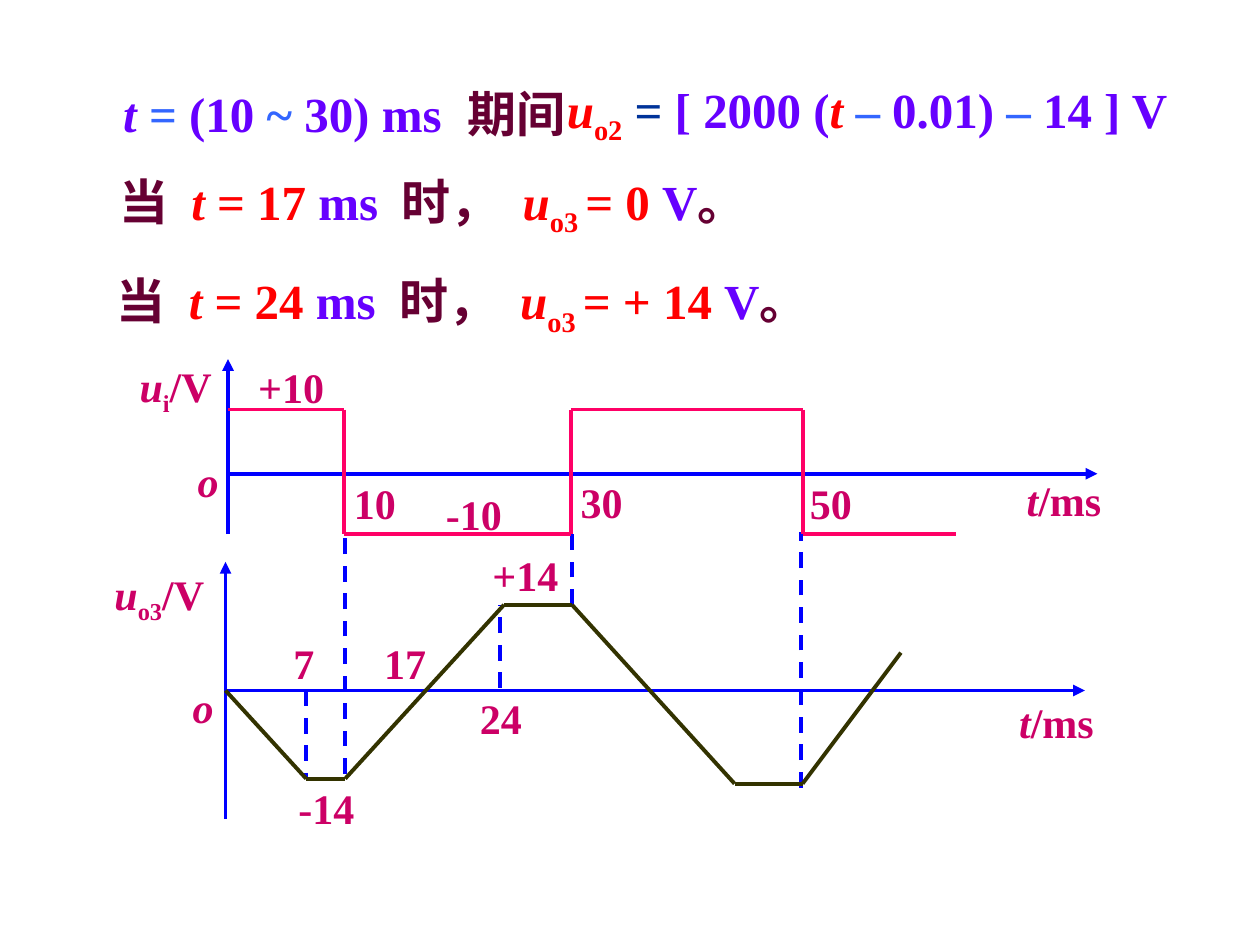
from itertools import pairwise

from lxml.etree import SubElement
from pptx import Presentation
from pptx.dml.color import RGBColor as RGB
from pptx.enum.dml import MSO_LINE as DASH
from pptx.enum.shapes import MSO_CONNECTOR as CONN
from pptx.enum.text import MSO_AUTO_SIZE as AUTO
from pptx.oxml.ns import qn
from pptx.util import Inches, Pt

COLORS = {
    "axis": "0000FF", "input": "FF0066", "output": "333300", "label": "CC0066",
    "red": "FF0000", "violet": "6600FF", "blue": "3366FF", "navy": "003399",
    "plum": "660033",
}


class Board:
    """Draws lines and formatted text on one slide."""

    font = "Times New Roman"
    width = Pt(2.25)

    def __init__(self, slide):
        self.s = slide

    def line(self, start, end, color, dashed=False, arrow=False):
        points = [Inches(v) for v in (*start, *end)]
        c = self.s.shapes.add_connector(CONN.STRAIGHT, *points)
        c.line.color.rgb = RGB.from_string(COLORS[color])
        c.line.width = self.width
        if dashed:
            c.line.dash_style = DASH.DASH
        if arrow:
            SubElement(c.get_or_add_ln(), qn("a:tailEnd"), type="triangle")
        SubElement(c._element.spPr, qn("a:effectLst"))

    def wave(self, points, color):
        for start, end in pairwise(points):
            self.line(start, end, color)

    def text(self, left, top, width, height, runs, size, wrap=True, tabs=()):
        box = (Inches(v) for v in (left, top, width, height))
        tf = self.s.shapes.add_textbox(*box).text_frame
        tf.word_wrap = wrap
        tf.auto_size = AUTO.SHAPE_TO_FIT_TEXT
        p = tf.paragraphs[0]
        if tabs:
            stops = SubElement(p._p.get_or_add_pPr(), qn("a:tabLst"))
            for pos in tabs:
                SubElement(stops, qn("a:tab"), pos=str(Inches(pos)), algn="l")
        for words, color, style in runs:
            r = p.add_run()
            r.text = words
            r.font.name = self.font
            r.font.size = Pt(size)
            r.font.bold = True
            r.font.italic = style == "italic"
            r.font.color.rgb = RGB.from_string(COLORS[color])
            if style == "sub":
                r._r.get_or_add_rPr().set("baseline", "-25000")

    def formula(self, left, top, width, height, runs, tabs=()):
        self.text(left, top, width, height, runs, 28, tabs=tabs)

    def label(self, left, top, width, *parts, height=0.5):
        runs = [(words, "label", style) for words, style in parts]
        self.text(left, top, width, height, runs, 24, wrap=False)


def condition(time, value):
    return [
        ("当\t", "plum", ""), ("t ", "red", "italic"), (f"= {time} ", "red", ""),
        ("ms\t", "violet", ""), ("时，\t", "plum", ""), ("u", "red", "italic"),
        ("o3 ", "red", "sub"), (f"= {value} ", "red", ""), ("V", "violet", ""),
        ("。", "plum", ""),
    ]


def main():
    prs = Presentation()
    prs.slide_width, prs.slide_height = Inches(10), Inches(7.5)
    board = Board(prs.slides.add_slide(prs.slide_layouts[6]))

    board.formula(0.88, 0.61, 4.37, 0.57, [
        ("t ", "violet", "italic"), ("=", "blue", ""), (" (10 ", "violet", ""),
        ("~ ", "blue", ""), ("30) ms\t", "violet", ""), ("期间", "plum", ""),
    ], tabs=[2.73])
    board.formula(4.4, 0.58, 5.98, 0.63, [
        ("u", "red", "italic"), ("o2", "red", "sub"), (" =", "navy", ""),
        (" [ 2000 (", "violet", ""), ("t ", "red", "italic"), ("– ", "blue", ""),
        ("0.01) ", "violet", ""), ("– ", "blue", ""), ("14 ] V", "violet", ""),
    ])
    stops = [0.57, 2.24, 3.2]
    board.formula(0.85, 1.31, 6.06, 0.63, condition(17, "0"), stops)
    board.formula(0.83, 2.1, 6.52, 0.63, condition(24, "+ 14"), stops)

    for start, end in [
        ((1.79, 5.48), (8.61, 5.48)), ((1.79, 6.5), (1.79, 4.46)),
        ((1.81, 3.76), (8.71, 3.76)), ((1.81, 4.24), (1.81, 2.85)),
    ]:
        board.line(start, end, "axis", arrow=True)

    for x, y1, y2 in [
        (4.54, 4.8, 4.17), (2.43, 5.48, 6.18), (3.97, 5.46, 4.8),
        (2.74, 6.14, 4.25), (6.36, 6.25, 4.22),
    ]:
        board.line((x, y1), (x, y2), "axis", dashed=True)

    high, low = 3.25, 4.24
    board.wave([
        (1.81, high), (2.73, high), (2.73, low), (4.53, low),
        (4.53, high), (6.37, high), (6.37, low), (7.59, low),
    ], "input")
    board.wave([
        (1.79, 5.48), (2.43, 6.18), (2.74, 6.18), (4, 4.8),
        (4.54, 4.8), (5.83, 6.22), (6.37, 6.22), (7.15, 5.18),
    ], "output")

    board.label(1.01, 2.81, 0.77, ("u", "italic"), ("i", "sub"), ("/V", ""),
                height=0.56)
    board.label(0.81, 4.46, 0.91, ("u", "italic"), ("o3", "sub"), ("/V", ""),
                height=0.56)
    for left, top in [(1.47, 3.57), (1.43, 5.36)]:
        board.label(left, top, 0.36, ("o", "italic"))
    for left, top in [(8.05, 3.72), (7.99, 5.48)]:
        board.label(left, top, 0.79, ("t", "italic"), ("/ms", ""))
    for words, left, top, width in [
        ("+10", 1.95, 2.82, 0.72), ("10", 2.71, 3.74, 0.53),
        ("-10", 3.44, 3.83, 0.7), ("30", 4.51, 3.73, 0.53),
        ("50", 6.33, 3.74, 0.53), ("+14", 3.81, 4.31, 0.72),
        ("7", 2.23, 5.01, 0.36), ("17", 2.95, 5.01, 0.53),
        ("24", 3.71, 5.45, 0.53), ("-14", 2.27, 6.16, 0.7),
    ]:
        board.label(left, top, width, (words, ""))

    prs.save("out.pptx")


if __name__ == "__main__":
    main()
